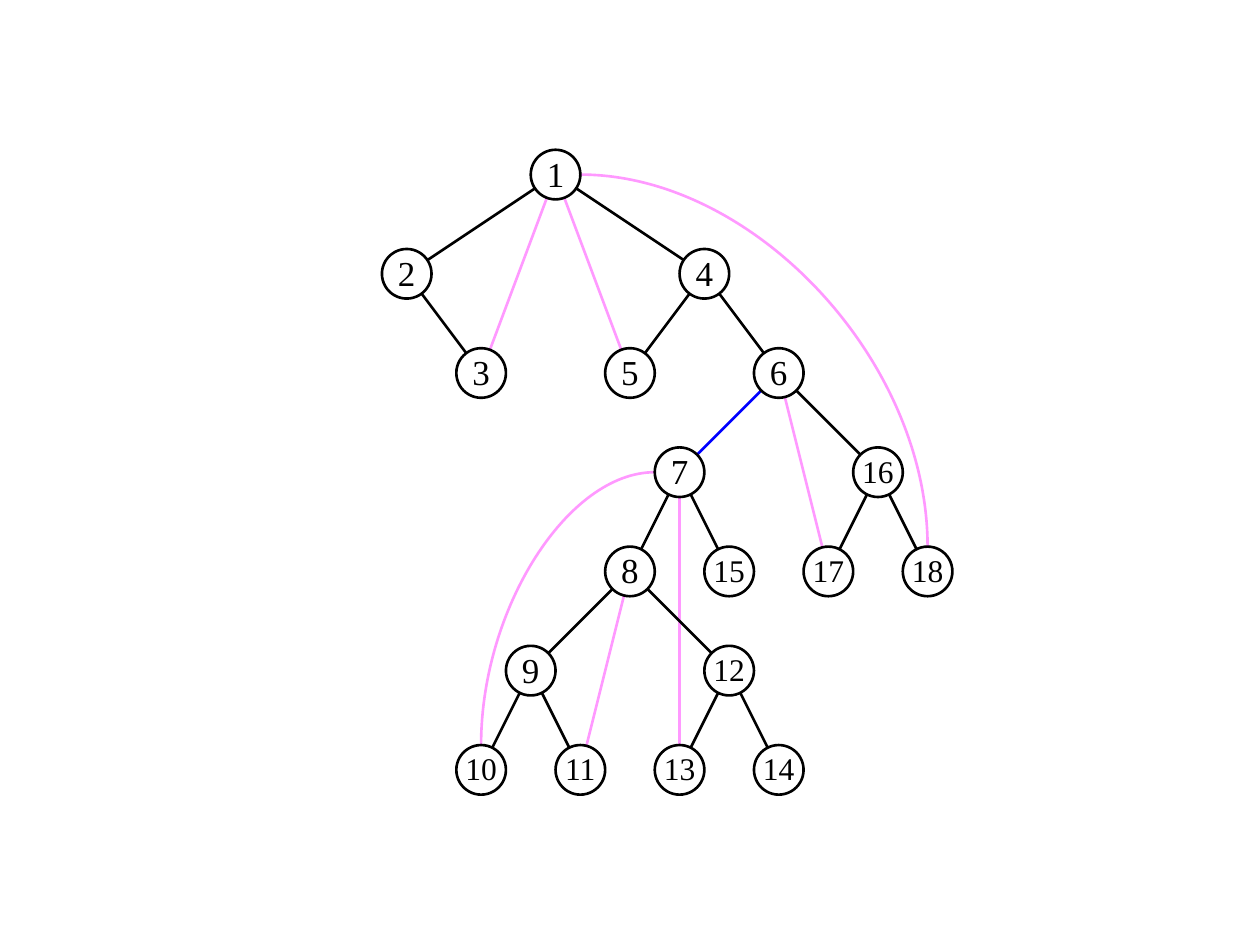
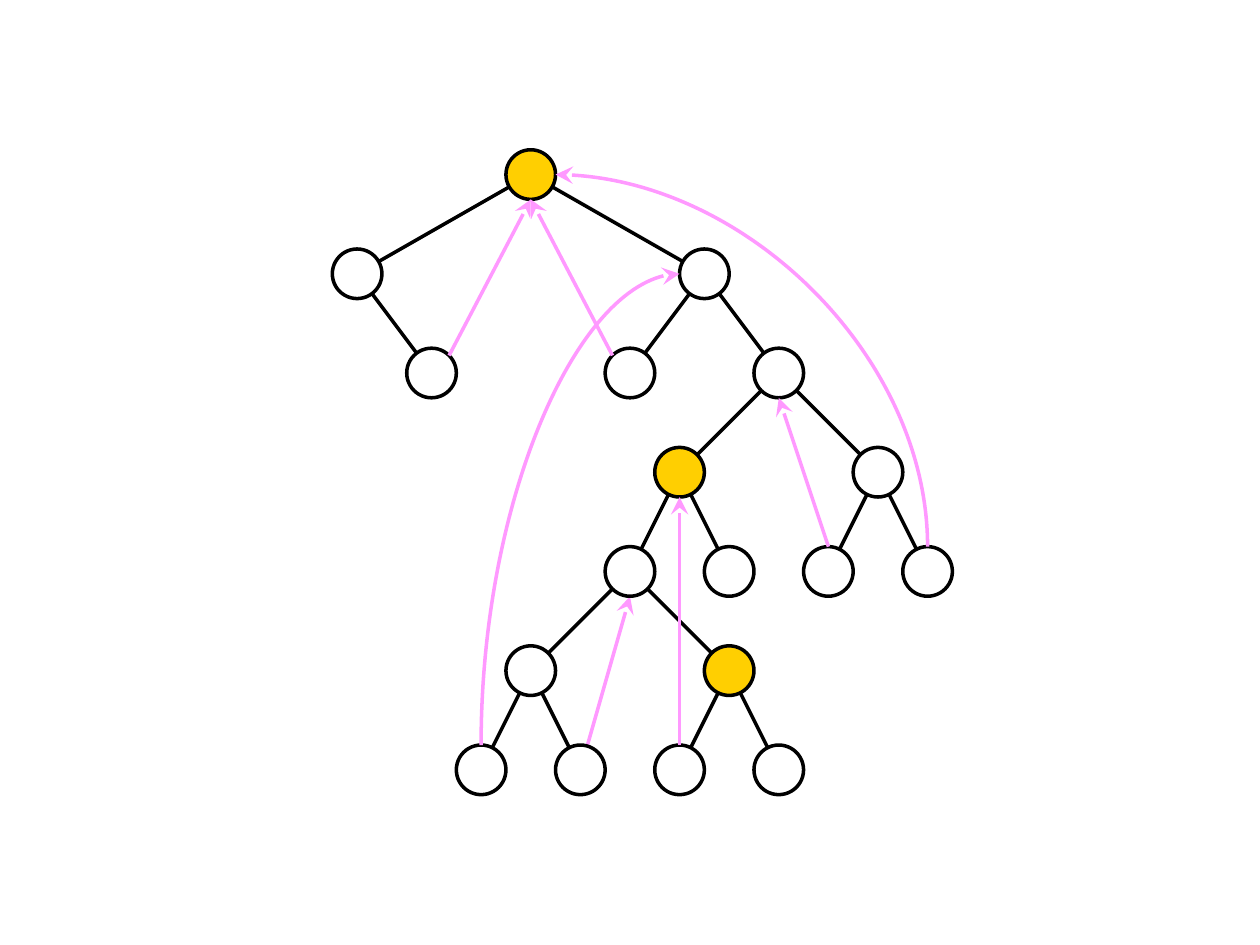
from math import sqrt

from lxml.etree import SubElement
from pptx import Presentation
from pptx.dml.color import RGBColor
from pptx.enum.shapes import MSO_CONNECTOR, MSO_SHAPE
from pptx.enum.text import MSO_ANCHOR, PP_ALIGN
from pptx.oxml.ns import qn
from pptx.util import Inches, Pt

PX = 7200  # EMU; 25 px are 5 mm
RADIUS = 25
COLUMN = 25
ROW = 100
TREE_BOX = (335, 151)

BLACK, WHITE, PINK, BLUE, GOLD = "000000", "FFFFFF", "FF99FF", "0000FF", "FFCF01"
FONT = "Times New Roman"

# Points of a node, in radii from its centre
DIAGONAL = 1 / sqrt(2)
CENTRE, TOP, BOTTOM, LEFT, RIGHT = (0, 0), (0, -1), (0, 1), (-1, 0), (1, 0)
UPPER_LEFT, UPPER_RIGHT = (-DIAGONAL, -DIAGONAL), (DIAGONAL, -DIAGONAL)

CHILDREN = {1: (2, 4), 2: (3,), 4: (5, 6), 6: (7, 16), 7: (8, 15),
            8: (9, 12), 9: (10, 11), 12: (13, 14), 16: (17, 18)}

# node: (column, row)
NUMBERED_GRID = {1: (8, 0), 2: (2, 1), 4: (14, 1), 3: (5, 2), 5: (11, 2), 6: (17, 2),
                 7: (13, 3), 16: (21, 3), 8: (11, 4), 15: (15, 4), 17: (19, 4),
                 18: (23, 4), 9: (7, 5), 12: (15, 5), 10: (5, 6), 11: (9, 6),
                 13: (13, 6), 14: (17, 6)}
WIDE_GRID = {**NUMBERED_GRID, 1: (7, 0), 2: (0, 1), 3: (3, 2)}

# Back edges: (ancestor, its point, descendant, its point)
PLAIN_BACK_EDGES = [(1, RIGHT, 18, TOP), (7, LEFT, 10, TOP)] + [
    (ancestor, CENTRE, node, CENTRE)
    for ancestor, node in ((1, 3), (1, 5), (6, 17), (7, 13), (8, 11))]
LOW_ARROWS = [(8, BOTTOM, 11, CENTRE)]
HIGH_ARROWS = [(1, RIGHT, 18, TOP), (1, BOTTOM, 3, UPPER_RIGHT), (1, BOTTOM, 5, UPPER_LEFT),
               (6, BOTTOM, 17, TOP), (7, BOTTOM, 13, TOP), (4, LEFT, 10, TOP)]


def px(value):
    return round(value * PX)


def rgb(color):
    return RGBColor.from_string(color)


def set_attributes(target, values):
    for name, value in values.items():
        setattr(target, name, value)


def set_line(sp, color, width):
    sp.line.color.rgb = rgb(color)
    sp.line.width = Pt(width)


def add_link(slide, start, end, color, width, curved=False, arrow=False):
    """Join two points; a curve leaves start level, and an arrow points at start."""
    kind = MSO_CONNECTOR.CURVE if curved else MSO_CONNECTOR.STRAIGHT
    link = slide.shapes.add_connector(kind, *map(px, start + end))
    set_line(link, color, width)
    spPr = link._element.spPr
    if curved:
        spPr.find(qn("a:prstGeom")).set("prst", "curvedConnector2")
    if arrow:
        SubElement(spPr.find(qn("a:ln")), qn("a:headEnd"), type="stealth", w="lg", len="lg")
    SubElement(spPr, qn("a:effectLst"))


def add_label(node, number):
    tf = node.text_frame
    set_attributes(tf, {"margin_left": px(13), "margin_right": px(13),
                        "margin_top": px(5), "margin_bottom": px(8),
                        "word_wrap": False, "vertical_anchor": MSO_ANCHOR.MIDDLE})
    p = tf.paragraphs[0]
    p.alignment = PP_ALIGN.CENTER
    r = p.add_run()
    r.text = str(number)
    set_attributes(r.font, {"name": FONT, "size": Pt(20 if number < 10 else 18)})
    r.font.color.rgb = rgb(BLACK)


def add_node(slide, centre, fill, width, number=None):
    x, y = centre
    sp = slide.shapes.add_shape(MSO_SHAPE.OVAL, px(x - RADIUS), px(y - RADIUS),
                                px(2 * RADIUS), px(2 * RADIUS))
    sp.shadow.inherit = False
    sp.fill.solid()
    sp.fill.fore_color.rgb = rgb(fill)
    set_line(sp, BLACK, width)
    if number:
        add_label(sp, number)


def add_tree(slide, box, grid, width, under=(), over=(), numbered=False,
             arrows=False, blue_edges=(), gold_nodes=()):
    """Draw a search tree, with back edges under and over it."""
    left, top = box

    def point(node, offset=CENTRE):
        column, row = grid[node]
        return (left + RADIUS + column * COLUMN + offset[0] * RADIUS,
                top + RADIUS + row * ROW + offset[1] * RADIUS)

    def add_back_edges(edges):
        for ancestor, near, node, far in edges:
            add_link(slide, point(ancestor, near), point(node, far), PINK, width,
                     curved=near in (LEFT, RIGHT), arrow=arrows)

    add_back_edges(under)
    for parent, children in CHILDREN.items():
        for child in children:
            color = BLUE if (parent, child) in blue_edges else BLACK
            add_link(slide, point(parent), point(child), color, width)
    for node in grid:
        fill = GOLD if node in gold_nodes else WHITE
        add_node(slide, point(node), fill, width, node if numbered else None)
    add_back_edges(over)


def main():
    prs = Presentation()
    set_attributes(prs, {"slide_width": Inches(10), "slide_height": Inches(7.5)})
    blank = prs.slide_layouts[6]
    add_tree(prs.slides.add_slide(blank), TREE_BOX, NUMBERED_GRID, 1.5,
             under=PLAIN_BACK_EDGES, numbered=True, blue_edges={(6, 7)})
    add_tree(prs.slides.add_slide(blank), TREE_BOX, WIDE_GRID, 2, under=LOW_ARROWS,
             over=HIGH_ARROWS, arrows=True, gold_nodes={1, 7, 12})
    prs.save("out.pptx")


if __name__ == "__main__":
    main()
